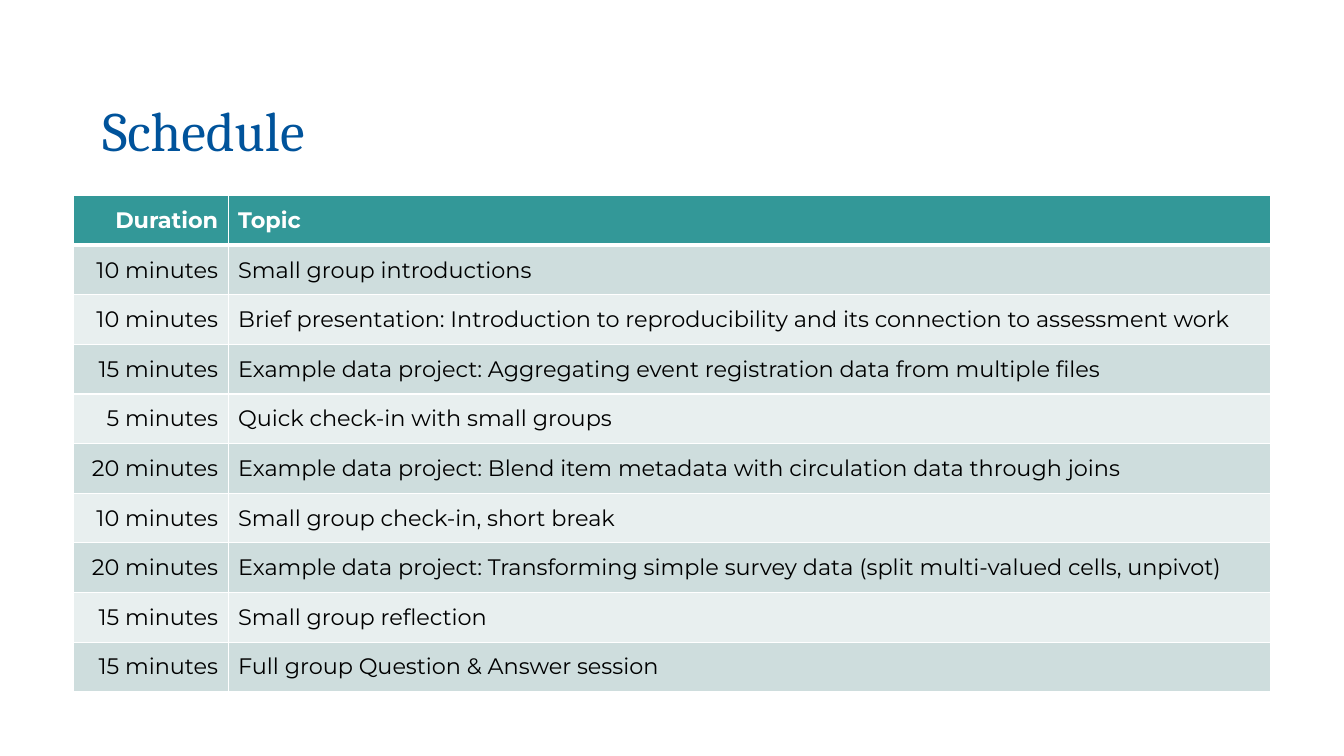
from lxml import etree
from pptx import Presentation
from pptx.dml.color import RGBColor
from pptx.enum.text import MSO_ANCHOR, PP_ALIGN
from pptx.oxml.ns import qn
from pptx.util import Cm, Pt

LEFT, RIGHT = PP_ALIGN.LEFT, PP_ALIGN.RIGHT
MIDDLE = MSO_ANCHOR.MIDDLE

BLUE = RGBColor(0x00, 0x53, 0x9B)
TEAL = RGBColor(0x33, 0x98, 0x98)
DARK = RGBColor(0xCE, 0xDD, 0xDD)
LIGHT = RGBColor(0xE8, 0xEF, 0xEF)
WHITE = RGBColor(0xFF, 0xFF, 0xFF)
BLACK = RGBColor(0x00, 0x00, 0x00)

ROWS = [
    ("Duration", "Topic"),
    ("10 minutes", "Small group introductions"),
    ("10 minutes", "Brief presentation: Introduction to reproducibility "
                   "and its connection to assessment work"),
    ("15 minutes", "Example data project: Aggregating event registration "
                   "data from multiple files"),
    ("5 minutes", "Quick check-in with small groups"),
    ("20 minutes", "Example data project: Blend item metadata with "
                   "circulation data through joins"),
    ("10 minutes", "Small group check-in, short break"),
    ("20 minutes", "Example data project: Transforming simple survey data "
                   "(split multi-valued cells, unpivot)"),
    ("15 minutes", "Small group reflection"),
    ("15 minutes", "Full group Question & Answer session"),
]


def write(frame, text, font="Montserrat", size=16, color=BLACK, bold=False,
          align=LEFT, spacing=1.0):
    para = frame.paragraphs[0]
    para.alignment = align
    para.line_spacing = spacing
    run = para.add_run()
    run.text = text
    run.font.name = font
    run.font.size = Pt(size)
    run.font.bold = bold
    run.font.color.rgb = color


def border(cell, side, width, color=WHITE):
    props = cell._tc.get_or_add_tcPr()
    line = etree.SubElement(props, qn("a:ln" + side), w=str(Pt(width)))
    fill = etree.SubElement(line, qn("a:solidFill"))
    etree.SubElement(fill, qn("a:srgbClr"), val=str(color))


class Deck:
    def __init__(self):
        self.show = Presentation()
        self.show.slide_width = Cm(33.87)
        self.show.slide_height = Cm(19.05)
        self.slide = self.show.slides.add_slide(self.show.slide_layouts[6])

    def title(self, text, left, top, width, height):
        box = self.slide.shapes.add_textbox(
            Cm(left), Cm(top), Cm(width), Cm(height))
        frame = box.text_frame
        frame.word_wrap = True
        frame.vertical_anchor = MIDDLE
        write(frame, text, font="Cambria", size=39.6, color=BLUE, spacing=0.9)

    def table(self, rows, left, top, widths, height):
        table = self.slide.shapes.add_table(
            len(rows), len(widths), Cm(left), Cm(top),
            Cm(sum(widths)), Cm(height * len(rows))).table
        table.horz_banding = False
        for col, width in zip(table.columns, widths):
            col.width = Cm(width)
        for i, row in enumerate(rows):
            table.rows[i].height = Cm(height)
            for j, text in enumerate(row):
                self.cell(table.cell(i, j), text, i, j)

    def cell(self, cell, text, row, col):
        head = row == 0
        cell.vertical_anchor = MIDDLE
        # A thick rule divides the header from the body
        border(cell, "L", 1)
        border(cell, "R", 1)
        border(cell, "T", 3 if row == 1 else 1)
        border(cell, "B", 3 if head else 1)
        cell.fill.solid()
        cell.fill.fore_color.rgb = TEAL if head else DARK if row % 2 else LIGHT
        write(cell.text_frame, text, color=WHITE if head else BLACK,
              bold=head, align=LEFT if col else RIGHT)


def main():
    deck = Deck()
    # Heading
    deck.title("Schedule", 2.33, 2.54, 29.21, 1.63)
    # Timetable
    deck.table(ROWS, 1.84, 4.93, (3.91, 26.27), 1.25)
    deck.show.save("out.pptx")


if __name__ == "__main__":
    main()
